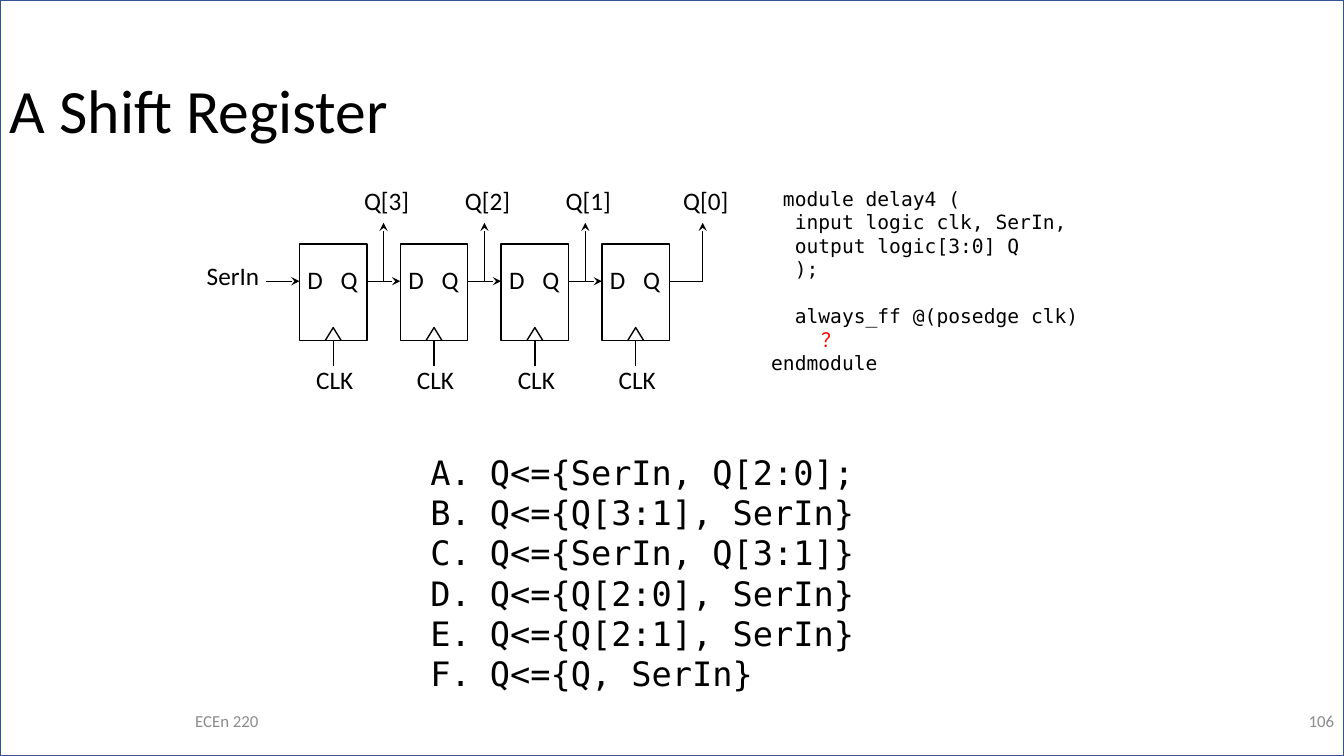
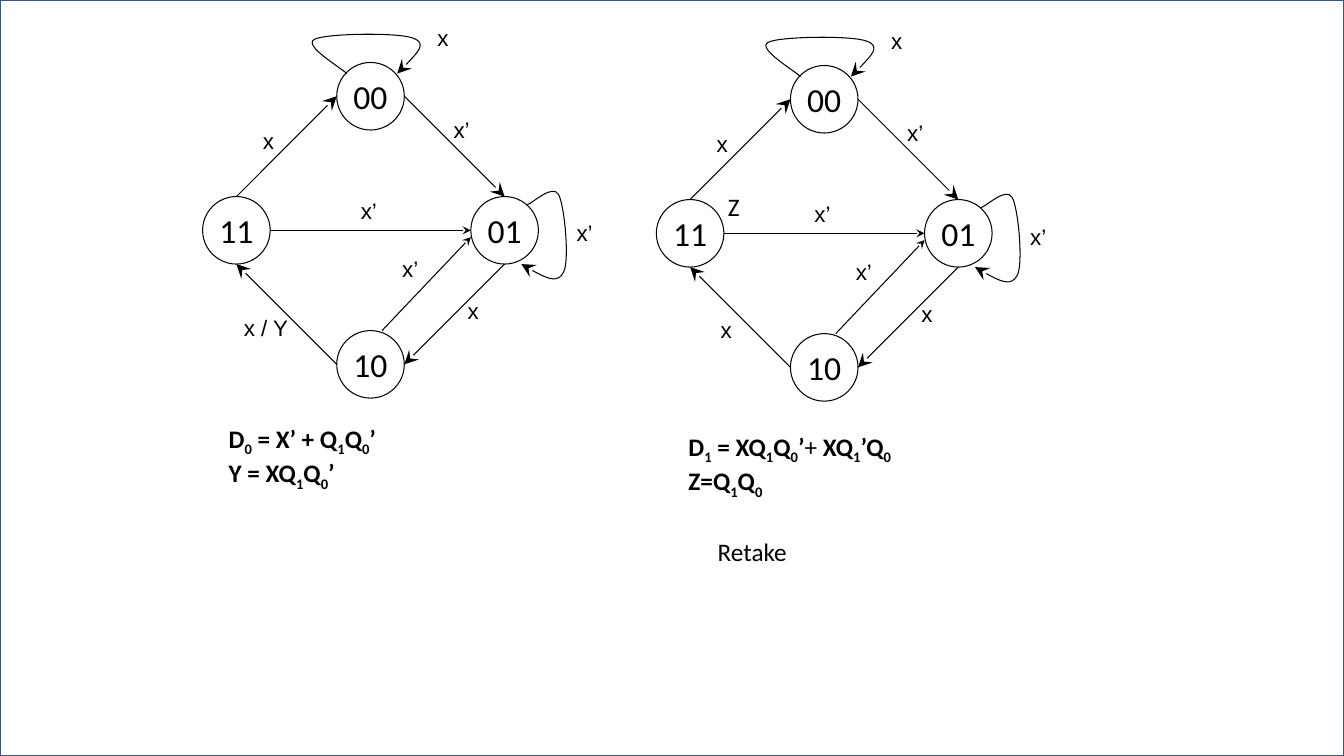
from dataclasses import dataclass

from lxml import etree
from pptx import Presentation
from pptx.dml.color import RGBColor
from pptx.enum import shapes as kinds, text as styles
from pptx.oxml import ns
from pptx.util import Inches, Pt

ALIGN = styles.PP_ALIGN
MIDDLE = styles.MSO_ANCHOR.MIDDLE


@dataclass(frozen=True)
class Theme:
    ink: RGBColor = RGBColor(0x00, 0x00, 0x00)
    paper: RGBColor = RGBColor(0xFF, 0xFF, 0xFF)
    frame: RGBColor = RGBColor(0x32, 0x54, 0x91)
    muted: RGBColor = RGBColor(0x8C, 0x8C, 0x8C)
    alert: RGBColor = RGBColor(0xFF, 0x00, 0x00)
    body_font: str = "Calibri"
    label_font: str = "Arial"
    code_font: str = "DejaVu Sans Mono"
    title_size: int = 44
    large_size: int = 24
    body_size: int = 18
    label_size: int = 16
    code_size: int = 14
    footer_size: int = 12
    thick: float = 1
    thin: float = 0.75


THEME = Theme()
SLIDE_WIDTH, SLIDE_HEIGHT = 13.33, 7.5

MODULE_CODE = [
    " module delay4 (",
    "  input logic clk, SerIn,",
    "  output logic[3:0] Q",
    "  );",
    "  always_ff @(posedge clk)",
    "\t？",
    "endmodule",
]
CODE_BLOCK_START = 4
CODE_BLOCK_GAP = 16.75
UNKNOWN_LINE = 5
CHOICES = [
    "Q<={SerIn, Q[2:0];",
    "Q<={Q[3:1], SerIn}",
    "Q<={SerIn, Q[3:1]}",
    "Q<={Q[2:0], SerIn}",
    "Q<={Q[2:1], SerIn}",
    "Q<={Q, SerIn}",
]

STATE_SIZE, STATE_STEP = 0.67, 1.33
STATE_CELLS = {"00": (1, 0), "10": (1, 2), "01": (2, 1), "11": (0, 1)}
# Each loop is a start point and then three points per cubic curve.
LOOPS = [
    [(1.43, 0.11), (1.37, 0.05), (0.99, -0.17), (1.11, -0.23), (1.22, -0.29),
     (1.96, -0.3), (2.09, -0.24), (2.23, -0.19), (2.08, -0.04), (1.93, 0.11)],
    [(3.22, 1.41), (3.27, 1.4), (3.47, 1.2), (3.53, 1.31), (3.59, 1.42),
     (3.64, 1.97), (3.58, 2.08), (3.52, 2.2), (3.34, 2.11), (3.16, 2)],
]
EDGE_LABELS = [
    ("x’", 2.39, 0.48), ("x", 2.53, 2.28), ("x", 0.5, 0.59), ("x", 2.23, -0.43),
    ("x’", 3.61, 1.51), ("x’", 1.47, 1.29), ("x’", 1.88, 1.86),
]
LABEL_WIDTHS = {"x": 0.31, "x’": 0.36, "x / Y": 0.64}


def style_font(paragraph, size, color=THEME.ink, face=THEME.body_font, bold=False):
    font = paragraph.font
    font.size, font.name, font.bold = Pt(size), face, bold
    font.color.rgb = color


def new_paragraphs(frame, count):
    for _ in range(count - 1):
        frame.add_paragraph()
    return frame.paragraphs


def text_frame(slide, left, top, width, height, wrap=True, anchor=styles.MSO_ANCHOR.TOP):
    box = slide.shapes.add_textbox(*map(Inches, (left, top, width, height)))
    frame = box.text_frame
    frame.word_wrap, frame.vertical_anchor = wrap, anchor
    return frame


def add_label(slide, caption, left, top, width, height=0.4, size=THEME.body_size,
              align=ALIGN.LEFT, wrap=False, anchor=styles.MSO_ANCHOR.TOP, **font):
    frame = text_frame(slide, left, top, width, height, wrap, anchor)
    paragraph = frame.paragraphs[0]
    paragraph.text, paragraph.alignment = caption, align
    style_font(paragraph, size, **font)
    return paragraph


def add_outline(slide, kind, left, top, width, height, line_width, color=THEME.ink, fill=None):
    shape = slide.shapes.add_shape(kind, *map(Inches, (left, top, width, height)))
    shape.shadow.inherit = False
    if fill is None:
        shape.fill.background()
    else:
        shape.fill.solid()
        shape.fill.fore_color.rgb = fill
    shape.line.color.rgb, shape.line.width = color, Pt(line_width)
    return shape


def add_arrowhead(line, size):
    outline = line._element.spPr.get_or_add_ln()
    etree.SubElement(outline, ns.qn("a:tailEnd"), type="stealth", w=size, len=size)


def add_wire(slide, start, end, width=THEME.thin, arrow=None):
    """Draw a straight line; arrow is None or the head size, "med" or "lg"."""
    wire = slide.shapes.add_connector(
        kinds.MSO_CONNECTOR.STRAIGHT, *map(Inches, (*start, *end)))
    wire.line.color.rgb, wire.line.width = THEME.ink, Pt(width)
    if arrow:
        add_arrowhead(wire, arrow)
    etree.SubElement(wire._element.spPr, ns.qn("a:effectLst"))
    return wire


def add_open_line(slide, points, width):
    start, *rest = [(Inches(x), Inches(y)) for x, y in points]
    builder = slide.shapes.build_freeform(*start)
    builder.add_line_segments(rest, close=False)
    line = builder.convert_to_shape()
    line.shadow.inherit = False
    line.fill.background()
    line.line.color.rgb, line.line.width = THEME.ink, Pt(width)
    return line


def add_curve(slide, points):
    """Draw cubic curves through every third point, ending in an arrowhead."""
    curve = add_open_line(slide, points, THEME.thin)
    segments = list(curve._element.iter(ns.qn("a:lnTo")))
    for first in range(0, len(segments), 3):
        cubic = etree.SubElement(segments[first].getparent(), ns.qn("a:cubicBezTo"))
        for segment in segments[first:first + 3]:
            cubic.append(segment[0])
            segment.getparent().remove(segment)
    add_arrowhead(curve, "lg")


def add_formulas(slide, left, top, width, formulas):
    """Write bold formulas: _ lowers the next character, | toggles bold."""
    frame = text_frame(slide, left, top, width, 0.71)
    for paragraph, formula in zip(new_paragraphs(frame, len(formulas)), formulas):
        style_font(paragraph, THEME.body_size, bold=True)
        for index, segment in enumerate(formula.split("|")):
            plain, *lowered = segment.split("_")
            pieces = [(plain, False)]
            for part in lowered:
                pieces += [(part[0], True), (part[1:], False)]
            for piece, is_subscript in pieces:
                if not piece:
                    continue
                run = paragraph.add_run()
                run.text = piece
                if index % 2:
                    run.font.bold = False
                if is_subscript:
                    run._r.get_or_add_rPr().set("baseline", "-25000")


def new_slide(deck):
    slide = deck.slides.add_slide(deck.slide_layouts[6])
    add_outline(slide, kinds.MSO_SHAPE.RECTANGLE, 0, 0, SLIDE_WIDTH, SLIDE_HEIGHT,
                THEME.thick, THEME.frame)
    return slide


def add_title(slide, caption):
    title = add_label(slide, caption, 0, 0.4, 11.5, 1.45, THEME.title_size,
                      wrap=True, anchor=MIDDLE)
    title.line_spacing = 0.9


def add_footer(slide, course, number):
    for caption, left, width, align in ((course, 0, 4.5, ALIGN.CENTER),
                                        (number, 10.33, 3, ALIGN.RIGHT)):
        add_label(slide, caption, left, 6.95, width, size=THEME.footer_size, align=align,
                  wrap=True, anchor=MIDDLE, color=THEME.muted)


def add_flip_flop(slide, left):
    top, width, height = 2.42, 0.67, 0.96
    middle, bottom = left + width / 2, top + height
    body = add_outline(slide, kinds.MSO_SHAPE.RECTANGLE, left, top, width, height,
                       THEME.thick, fill=THEME.paper)
    frame = body.text_frame
    frame.word_wrap, frame.vertical_anchor = True, styles.MSO_ANCHOR.TOP
    frame.margin_left, frame.margin_right, frame.margin_top = Inches(0.08), 0, Inches(0.2)
    pins = frame.paragraphs[0]
    pins.text, pins.alignment = "D\tQ", ALIGN.LEFT
    tabs = etree.SubElement(pins._p.get_or_add_pPr(), ns.qn("a:tabLst"))
    etree.SubElement(tabs, ns.qn("a:tab"), pos=str(Inches(0.33)), algn="l")
    style_font(pins, THEME.body_size)

    add_open_line(slide, [(middle - 0.08, bottom), (middle, bottom - 0.13),
                          (middle + 0.08, bottom)], THEME.thick)
    clock = add_wire(slide, (middle, bottom), (middle, bottom + 0.25), THEME.thick)
    clock.begin_connect(body, 2)
    add_label(slide, "CLK", left + 0.06, 3.57, 0.58, align=ALIGN.CENTER)


def add_shift_register(slide):
    first, pitch, width, gap, wire_y = 2.97, 1, 0.67, 0.33, 2.79
    add_label(slide, "SerIn", 1.94, 2.53, 0.73, align=ALIGN.RIGHT)
    add_wire(slide, (first - gap, wire_y), (first, wire_y), THEME.thick, "med")
    for stage in range(4):
        is_last = stage == 3
        left = first + stage * pitch
        right = left + width
        add_flip_flop(slide, left)
        add_wire(slide, (right, wire_y), (right + gap, wire_y), THEME.thick,
                 None if is_last else "med")
        tap = right + (gap if is_last else gap / 2)
        add_wire(slide, (tap, wire_y), (tap, 2.21), arrow="med")
        add_label(slide, f"Q[{3 - stage}]", tap - 0.31, 1.79, 0.68, align=ALIGN.CENTER)


def add_module_code(slide):
    frame = text_frame(slide, 7.55, 1.8, 3.29, 1.99)
    for row, paragraph in enumerate(new_paragraphs(frame, len(MODULE_CODE))):
        paragraph.text = MODULE_CODE[row]
        if row == CODE_BLOCK_START:
            paragraph.space_before = Pt(CODE_BLOCK_GAP)
        style_font(paragraph, THEME.code_size, face=THEME.code_font,
                   color=THEME.alert if row == UNKNOWN_LINE else THEME.ink)


def add_choices(slide):
    frame = text_frame(slide, 4.17, 4.43, 5.09, 2.93)
    for paragraph, choice in zip(new_paragraphs(frame, len(CHOICES)), CHOICES):
        paragraph.text = choice
        properties = paragraph._p.get_or_add_pPr()
        properties.set("marL", str(Inches(0.59)))
        properties.set("indent", str(-Inches(0.59)))
        etree.SubElement(properties, ns.qn("a:buAutoNum"), type="alphaUcPeriod")
        style_font(paragraph, THEME.large_size, face=THEME.code_font)


def add_state_diagram(slide, left, top, edge_labels):
    def place(x, y):
        return left + x, top + y

    def rim(state, across, down):
        """Point of a state's bounding square, as fractions of its size."""
        column, row = STATE_CELLS[state]
        return place(column * STATE_STEP + across * STATE_SIZE,
                     row * STATE_STEP + down * STATE_SIZE)

    for state in STATE_CELLS:
        circle = add_outline(slide, kinds.MSO_SHAPE.OVAL, *rim(state, 0, 0), STATE_SIZE,
                             STATE_SIZE, THEME.thin, fill=THEME.paper)
        frame = circle.text_frame
        frame.word_wrap, frame.vertical_anchor = False, MIDDLE
        name = frame.paragraphs[0]
        name.text, name.alignment = state, ALIGN.CENTER
        style_font(name, THEME.large_size)

    for start, end, head in (
        (rim("00", 1, 0.5), rim("01", 0.5, 0), "lg"),
        (rim("01", 0.5, 1), rim("10", 1, 0.5), "lg"),
        (rim("10", 0, 0.5), rim("11", 0.5, 1), "lg"),
        (rim("11", 0.5, 0), rim("00", 0, 0.5), "lg"),
        (rim("10", 0.67, 0), rim("01", 0, 0.6), "med"),
        (rim("11", 1, 0.5), rim("01", 0, 0.5), "med"),
    ):
        add_wire(slide, start, end, arrow=head)
    for loop in LOOPS:
        add_curve(slide, [place(x, y) for x, y in loop])
    for caption, x, y in edge_labels:
        add_label(slide, caption, *place(x, y), LABEL_WIDTHS[caption], 0.37,
                  THEME.label_size, face=THEME.label_font)


def build_shift_register_slide(deck):
    slide = new_slide(deck)
    add_title(slide, "A Shift Register")
    add_footer(slide, "ECEn 220", "106")
    add_shift_register(slide)
    add_choices(slide)
    add_module_code(slide)


def build_state_machine_slide(deck):
    slide = new_slide(deck)
    add_state_diagram(slide, 2.01, 0.62, EDGE_LABELS + [("x / Y", 0.31, 2.45)])
    add_formulas(slide, 2.17, 4.15, 3.07, ["D_0 = X’ + Q_1Q_0’", "Y = XQ_1Q_0’"])
    add_state_diagram(slide, 6.51, 0.65, EDGE_LABELS + [("x", 0.54, 2.44)])
    add_label(slide, "Z", 7.12, 1.85, 0.48, wrap=True)
    add_formulas(slide, 6.73, 4.23, 3.96, ["D_1 = XQ_1Q_0’|+ |XQ_1’Q_0", "Z=Q_1Q_0"])
    add_label(slide, "Retake", 7.02, 5.27, 3.29, wrap=True)


def main():
    deck = Presentation()
    deck.slide_width, deck.slide_height = Inches(SLIDE_WIDTH), Inches(SLIDE_HEIGHT)
    build_shift_register_slide(deck)
    build_state_machine_slide(deck)
    deck.save("out.pptx")


if __name__ == "__main__":
    main()
